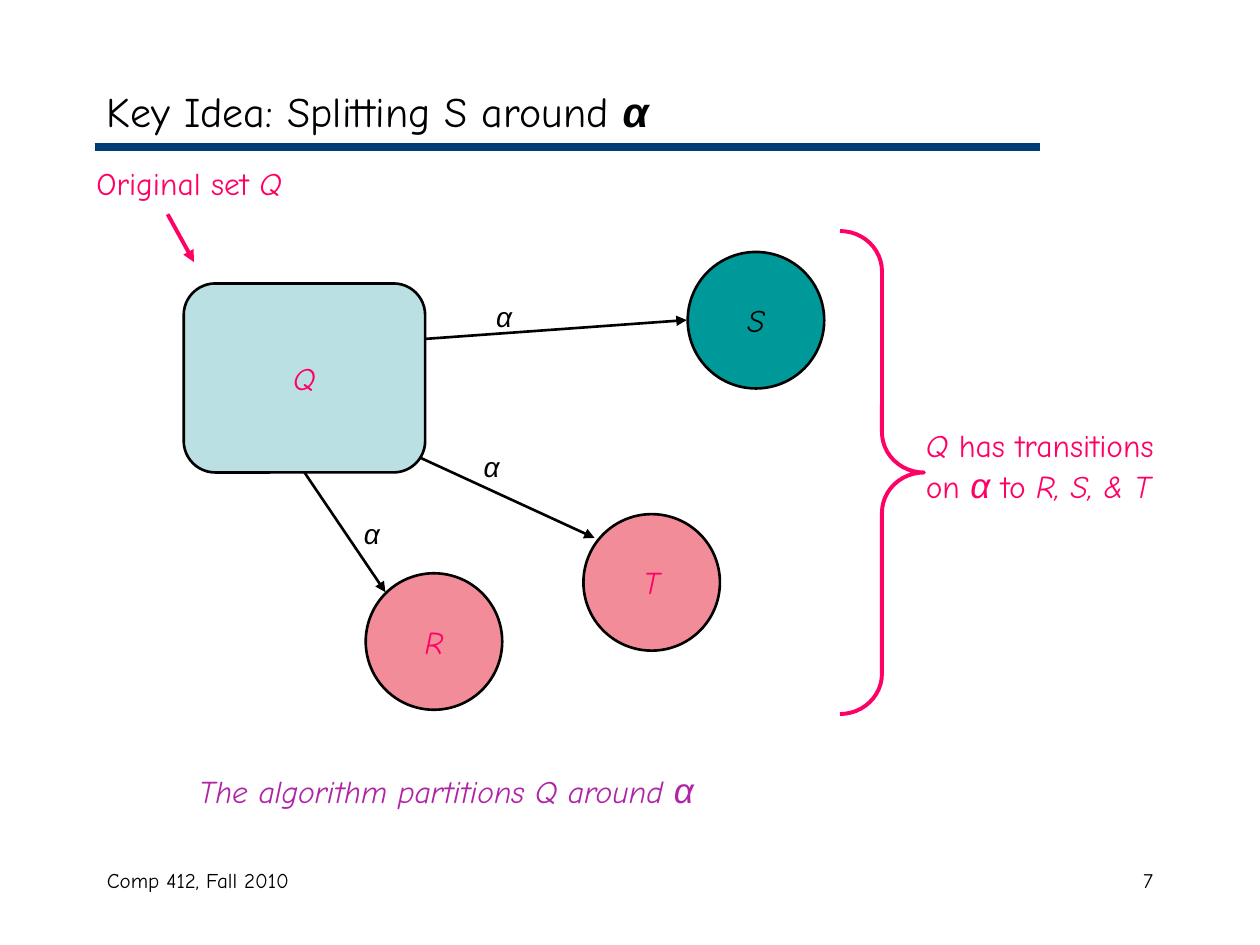
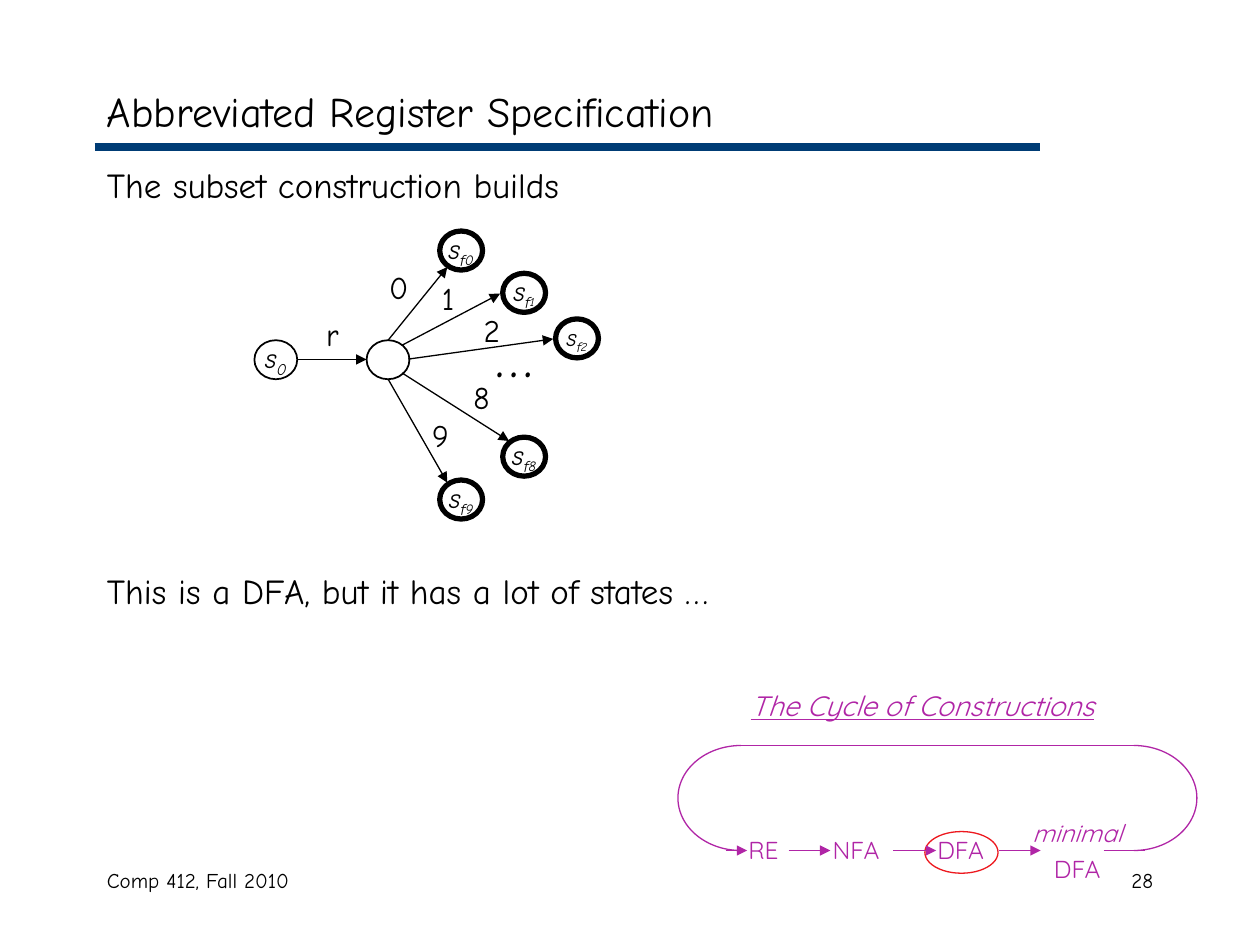
from dataclasses import dataclass

import lxml.etree
import pptx
import pptx.dml.color
import pptx.enum.shapes
import pptx.enum.text
import pptx.oxml.ns
import pptx.util

Pt = pptx.util.Pt
SHAPE = pptx.enum.shapes.MSO_SHAPE
ALIGN = pptx.enum.text.PP_ALIGN
ANCHOR = pptx.enum.text.MSO_ANCHOR


@dataclass(frozen=True)
class Theme:
    ink: str = "000000"
    band: str = "003C75"
    pink: str = "FF0065"
    purple: str = "B025A6"
    red: str = "ED181E"
    pale_blue: str = "BBE0E3"
    teal: str = "009999"
    salmon: str = "F38C99"
    font: str = "Comic Neue"
    greek_font: str = "Arial"
    cycle_font: str = "Quicksand"
    title: int = 24
    body: int = 20
    label: int = 18
    symbol: int = 16
    cycle: int = 14
    footer: int = 12
    ellipsis: int = 32


THEME = Theme()


@dataclass(frozen=True)
class Run:
    text: str
    size: int = THEME.label
    color: str = THEME.ink
    font: str = THEME.font
    italic: bool = False
    bold: bool = False
    underline: bool = False
    subscript: bool = False


@dataclass(frozen=True)
class Box:
    left: float
    top: float
    width: float
    height: float

    def inner(self, left, top, width, height):
        return Box(self.left + left, self.top + top, width, height)

    def lengths(self):
        return [Pt(v) for v in (self.left, self.top, self.width, self.height)]


def rgb(color):
    return pptx.dml.color.RGBColor.from_string(color)


def alpha(size=THEME.symbol, color=THEME.ink, bold=False):
    return Run("α", size, color, THEME.greek_font, italic=True, bold=bold)


def add_runs(paragraph, runs):
    for part in runs:
        run = paragraph.add_run()
        run.text = part.text
        font = run.font
        font.size, font.name = Pt(part.size), part.font
        font.bold, font.italic = part.bold, part.italic
        font.underline = part.underline
        font.color.rgb = rgb(part.color)
        if part.subscript:
            font._element.set("baseline", "-25000")


def add_text(slide, box, *paragraphs, align=ALIGN.LEFT, anchor=ANCHOR.TOP,
             wrap=True, gap=0, line_spacing=None):
    """Each paragraph is a list of runs; gap is the space between paragraphs."""
    frame = slide.shapes.add_textbox(*box.lengths()).text_frame
    frame.word_wrap, frame.vertical_anchor = wrap, anchor
    for index, runs in enumerate(paragraphs):
        paragraph = frame.add_paragraph() if index else frame.paragraphs[0]
        paragraph.alignment = align
        if index:
            paragraph.space_before = Pt(gap)
        if line_spacing:
            paragraph.line_spacing = line_spacing
        add_runs(paragraph, runs)


def add_figure(slide, kind, box, line, weight, fill=None, runs=(), after=0,
               adjustments=()):
    figure = slide.shapes.add_shape(kind, *box.lengths())
    figure.shadow.inherit = False
    for index, value in enumerate(adjustments):
        figure.adjustments[index] = value
    if fill:
        figure.fill.solid()
        figure.fill.fore_color.rgb = rgb(fill)
    else:
        figure.fill.background()
    figure.line.color.rgb = rgb(line)
    figure.line.width = Pt(weight)
    if runs:
        frame = figure.text_frame
        frame.word_wrap, frame.vertical_anchor = False, ANCHOR.MIDDLE
        paragraph = frame.paragraphs[0]
        paragraph.alignment = ALIGN.CENTER
        paragraph.space_after = Pt(after)
        add_runs(paragraph, runs)
    return figure


def add_line(slide, box, start, end, color=THEME.ink, weight=0.75, arrow=True):
    line = slide.shapes.add_connector(
        pptx.enum.shapes.MSO_CONNECTOR.STRAIGHT,
        Pt(box.left + start[0]), Pt(box.top + start[1]),
        Pt(box.left + end[0]), Pt(box.top + end[1]))
    line.line.color.rgb = rgb(color)
    line.line.width = Pt(weight)
    qn = pptx.oxml.ns.qn
    properties = line._element.spPr
    if arrow:
        outline = properties.find(qn("a:ln"))
        lxml.etree.SubElement(outline, qn("a:tailEnd"), type="triangle")
    lxml.etree.SubElement(properties, qn("a:effectLst"))
    return line


def add_frame(deck, title, number):
    """Blank slide with title, band and footers."""
    slide = deck.slides.add_slide(deck.slide_layouts[6])
    page = Box(0, 0, 720, 540)
    add_line(slide, page, (54, 84), (594, 84), THEME.band, 4.5, arrow=False)
    add_text(slide, page.inner(54, 492, 228, 36),
             [Run("Comp 412, Fall 2010", THEME.footer)])
    add_text(slide, page.inner(516, 492, 150, 36),
             [Run(number, THEME.footer)], align=ALIGN.RIGHT)
    add_text(slide, page.inner(54, 42, 612, 42), title, anchor=ANCHOR.MIDDLE)
    return slide


def draw_partition(slide, box):
    """Set Q with its transitions to S, T and R."""
    weight = 1.5
    # The arrow to S starts behind Q
    add_line(slide, box, (175.2, 105.1), (344.4, 92.9), weight=weight)
    set_q = add_figure(slide, SHAPE.ROUNDED_RECTANGLE,
                       box.inner(57, 72, 138, 108), THEME.ink, weight,
                       THEME.pale_blue,
                       [Run("Q", color=THEME.pink, italic=True)])
    to_r = add_line(slide, box, (126, 180), (172.3, 248.4), weight=weight)
    to_r.begin_connect(set_q, 2)
    add_line(slide, box, (191.8, 171.4), (291.8, 217.4), weight=weight)

    # Target sets
    for name, left, top, fill, color in (
            ("S", 345, 54, THEME.teal, THEME.ink),
            ("R", 161, 237.6, THEME.salmon, THEME.pink),
            ("T", 285.4, 203.8, THEME.salmon, THEME.pink)):
        add_figure(slide, SHAPE.OVAL, box.inner(left, top, 78, 78), THEME.ink,
                   weight, fill, [Run(name, color=color, italic=True)])

    # Transition labels
    for left, top in ((228.5, 77.8), (152.9, 201.6), (221.3, 163.4)):
        add_text(slide, box.inner(left, top, 24.5, 26.6), [alpha()], wrap=False)


def draw_remarks(slide, box):
    """Pointer to Q, brace with its note, and the conclusion."""
    pink, purple = THEME.pink, THEME.purple
    add_text(slide, box.inner(0, 0, 150, 29),
             [Run("Original set ", color=pink),
              Run("Q", color=pink, italic=True)])
    add_line(slide, box, (47.8, 32.4), (62.9, 59.8), pink, 2.25)
    add_figure(slide, SHAPE.RIGHT_BRACE, box.inner(432, 42, 48, 276), pink,
               2.25, adjustments=(0.48, 0.5))
    add_text(slide, box.inner(474, 149.8, 164, 53),
             [Run("Q ", color=pink, italic=True),
              Run("has transitions on ", color=pink),
              alpha(THEME.body, pink),
              Run(" to ", color=pink),
              Run("R, S, & T", color=pink, italic=True)])
    add_text(slide, box.inner(58.6, 345.6, 309, 31.7),
             [Run("The algorithm partitions Q around ", color=purple,
                  italic=True),
              alpha(THEME.body, purple)], wrap=False)


def draw_automaton(slide, box):
    """Start state, middle state and the fan of final states."""
    def state(left, top, weight, runs=(), after=0):
        add_figure(slide, SHAPE.OVAL, box.inner(left, top, 24.5, 22.3),
                   THEME.ink, weight, runs=runs, after=after)

    def name(text, size, subscript=False):
        return Run(text, size, italic=True, subscript=subscript)

    state(1.4, 62.4, 1, [name("s", 16), name("0", 16, True)], 6)
    state(65.5, 62.4, 1)
    # Final states: digit, place, sizes of letter and digit, space after
    for digit, left, top, letter_size, digit_size, after in (
            ("0", 107.3, 0, 16, 14, 5.2),
            ("1", 143.3, 24.2, 16, 12, 4.5),
            ("2", 173.5, 50.2, 14, 12, 4.5),
            ("8", 143.3, 117.8, 16, 14, 5.2),
            ("9", 107.3, 142.3, 16, 14, 5.2)):
        state(left, top, 3, [name("s", letter_size),
                             name("f", letter_size, True),
                             name(digit, digit_size, True)], after)

    # Transitions: symbol, label place, arrow ends
    for symbol, place, start, end in (
            ("r", (35.3, 44.4), (26, 73.4), (65.5, 73.4)),
            ("0", (71.3, 17.8), (77.8, 62.4), (111.6, 20.6)),
            ("1", (101.5, 24.2), (85.7, 65.3), (141.8, 35.8)),
            ("2", (125.3, 42.2), (89.3, 73.2), (172.1, 61.7)),
            ("8", (119.5, 80.4), (85.7, 81.1), (146.9, 120)),
            ("9", (95.8, 102), (77.8, 84.7), (111.6, 143.8))):
        add_line(slide, box, start, end)
        add_text(slide, box.inner(*place, 23.8, 28.8), [Run(symbol)])
    add_text(slide, box.inner(131.8, 48, 36, 46),
             [Run("…", THEME.ellipsis)])


def draw_cycle(slide, box):
    """Loop RE, NFA, DFA, minimal DFA and back."""
    purple = THEME.purple

    def word(text, size=THEME.cycle, **look):
        return Run(text, size, purple, THEME.cycle_font, **look)

    add_text(slide, box.inner(34.9, 0, 228, 26.6),
             [word("The Cycle of Constructions", THEME.symbol, italic=True,
                   underline=True)])

    # Steps, with the current one ringed
    add_figure(slide, SHAPE.OVAL, box.inner(141.5, 85.2, 41.8, 23.8),
               THEME.red, 0.75)
    for text, left in (("RE", 33.5), ("NFA", 81.7), ("DFA", 141.5)):
        add_text(slide, box.inner(left, 83.8, 54, 24.5), [word(text)])
    add_text(slide, box.inner(189.7, 70.8, 77.8, 47.5),
             [word("minimal ", italic=True), word("DFA")],
             align=ALIGN.CENTER, line_spacing=1.2)

    # Return loop: half ellipses joined by lines (270° = 162, 90° = 54)
    upper, lower = 36, 96
    for left, angles in ((0.4, (54, 162)), (225, (162, 54))):
        add_figure(slide, SHAPE.ARC, box.inner(left, upper, 72, lower - upper),
                   purple, 0.75, adjustments=angles)
    for start, end, level, arrow in (
            (33.5, 261.7, upper, False), (27.7, 40, lower, True),
            (63.7, 87.5, lower, True), (123.5, 148, lower, True),
            (184, 207.7, lower, True), (243.7, 267.5, lower, False)):
        add_line(slide, box, (start, level), (end, level), purple, arrow=arrow)


def build_splitting(deck):
    slide = add_frame(deck, [Run("Key Idea: Splitting S around ", THEME.title),
                             alpha(THEME.title, bold=True)], "7")
    content = Box(48, 90, 648, 378)
    draw_partition(slide, content)
    draw_remarks(slide, content)


def build_registers(deck):
    slide = add_frame(deck, [Run("Abbreviated Register Specification",
                                 THEME.title)], "28")
    add_text(slide, Box(54, 90, 612, 390),
             [Run("The subset construction builds", THEME.body)],
             [Run("This is a DFA, but it has a lot of states …", THEME.body)],
             gap=208)
    draw_automaton(slide, Box(144, 132, 200, 166))
    draw_cycle(slide, Box(387, 390, 298, 120))


def main():
    deck = pptx.Presentation()
    deck.slide_width, deck.slide_height = Pt(720), Pt(540)
    build_splitting(deck)
    build_registers(deck)
    deck.save("out.pptx")


if __name__ == "__main__":
    main()
